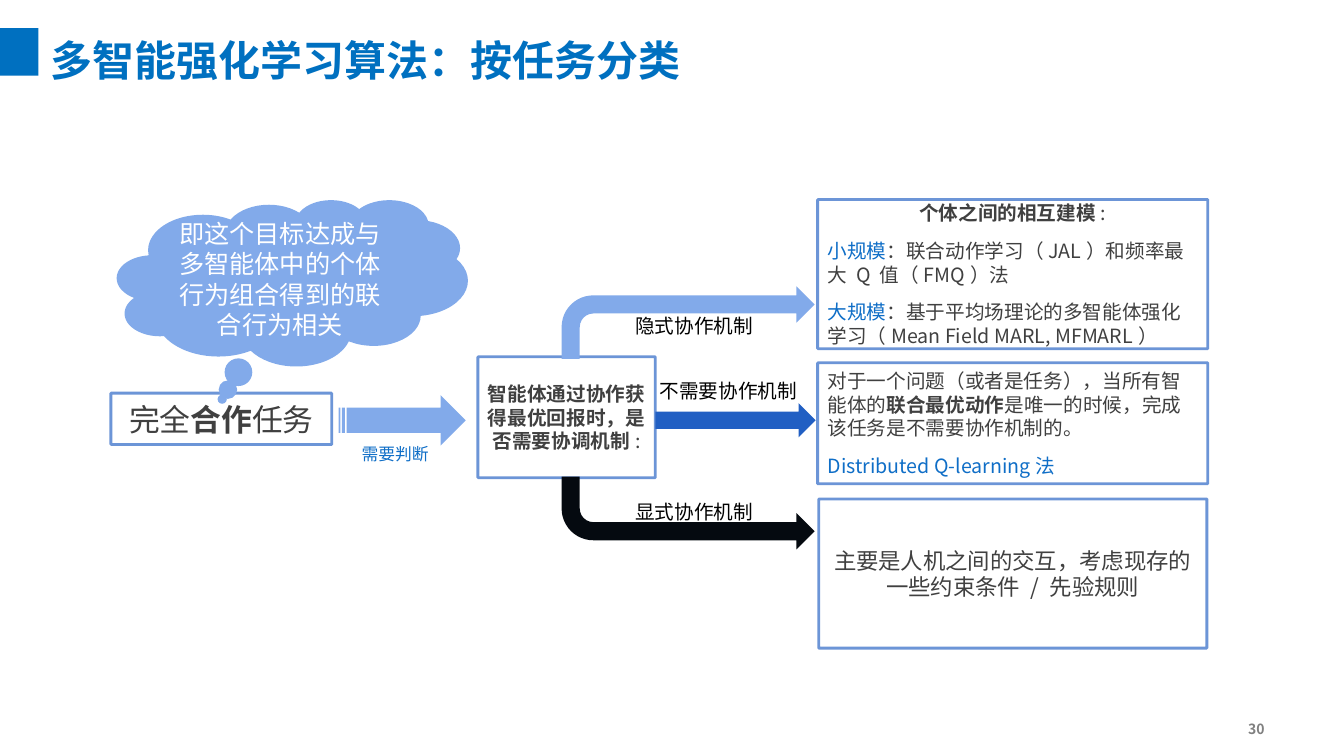
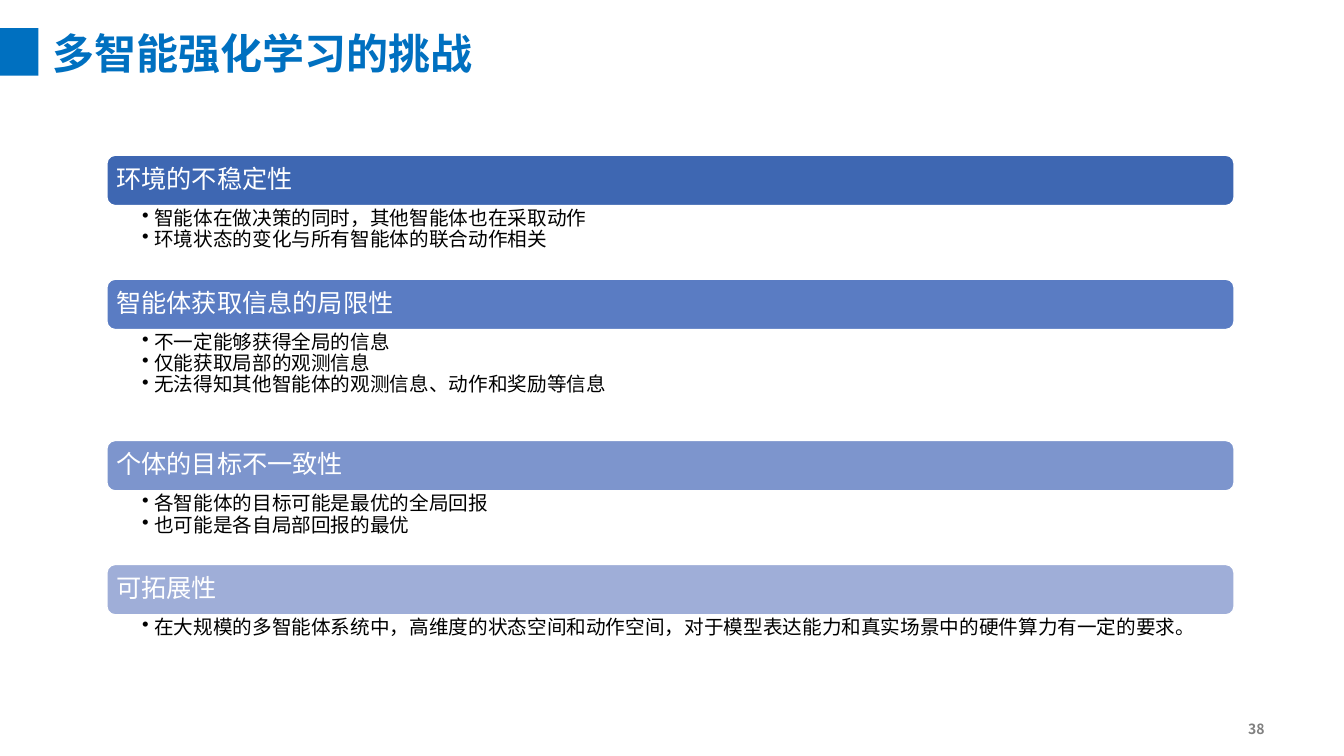
from lxml.etree import SubElement
from pptx import Presentation
from pptx.dml.color import RGBColor
from pptx.enum.shapes import MSO_SHAPE as SHAPE
from pptx.enum.text import MSO_ANCHOR as ANCHOR, PP_ALIGN as ALIGN
from pptx.oxml.ns import qn
from pptx.util import Inches, Pt

WHITE = RGBColor(0xFF, 0xFF, 0xFF)
BLACK = RGBColor(0x00, 0x00, 0x00)
INK = RGBColor(0x05, 0x0A, 0x10)
DARK = RGBColor(0x40, 0x40, 0x40)
GRAY = RGBColor(0x80, 0x80, 0x80)
BRAND = RGBColor(0x00, 0x70, 0xC0)
BLUE = RGBColor(0x21, 0x5F, 0xC3)
LIGHT = RGBColor(0x82, 0xAA, 0xEA)
ACCENT = RGBColor(0x0F, 0x6E, 0xC7)
TINTS = [
    RGBColor(0x3E, 0x67, 0xB2),
    RGBColor(0x5A, 0x7C, 0xC3),
    RGBColor(0x7D, 0x95, 0xCD),
    RGBColor(0x9F, 0xAE, 0xD8),
]

NOTO = "Noto Sans CJK SC"
ARIAL = "Arial"

TOPICS = [
    ("环境的不稳定性", 0.73, [
        "智能体在做决策的同时，其他智能体也在采取动作",
        "环境状态的变化与所有智能体的联合动作相关",
    ]),
    ("智能体获取信息的局限性", 1.1, [
        "不一定能够获得全局的信息",
        "仅能获取局部的观测信息",
        "无法得知其他智能体的观测信息、动作和奖励等信息",
    ]),
    ("个体的目标不一致性", 0.73, [
        "各智能体的目标可能是最优的全局回报",
        "也可能是各自局部回报的最优",
    ]),
    ("可拓展性", 0.37, [
        "在大规模的多智能体系统中，高维度的状态空间和动作空间，"
        "对于模型表达能力和真实场景中的硬件算力有一定的要求。",
    ]),
]


def style(run, size, color, bold=False, face=NOTO):
    font = run.font
    font.size = Pt(size)
    font.bold = bold
    font.name = face
    font.color.rgb = color
    SubElement(run._r.get_or_add_rPr(), qn("a:ea")).set("typeface", NOTO)


def fit(frame, insets=(0.1, 0.05, 0.1, 0.05), anchor=ANCHOR.MIDDLE):
    frame.word_wrap = True
    frame.vertical_anchor = anchor
    left, top, right, bottom = insets
    frame.margin_left, frame.margin_right = Inches(left), Inches(right)
    frame.margin_top, frame.margin_bottom = Inches(top), Inches(bottom)


def add_text(slide, area, text, size, color, bold=False, face=NOTO,
             align=ALIGN.CENTER, anchor=ANCHOR.MIDDLE, **frame_args):
    box = slide.shapes.add_textbox(*map(Inches, area))
    fit(box.text_frame, anchor=anchor, **frame_args)
    box.text_frame.text = text
    for para in box.text_frame.paragraphs:
        para.alignment = align
        style(para.runs[0], size, color, bold, face)
    return box


def add_form(slide, kind, area, color):
    form = slide.shapes.add_shape(kind, *map(Inches, area))
    form.shadow.inherit = False
    form.fill.solid()
    form.fill.fore_color.rgb = color
    form.line.fill.background()
    return form


def add_box(slide, area, size, paras):
    box = add_form(slide, SHAPE.RECTANGLE, area, WHITE)
    box.line.color.rgb = BLUE
    box.line.width = Pt(2)
    tone = box.line._ln.find(".//" + qn("a:srgbClr"))
    SubElement(tone, qn("a:alpha")).set("val", "65000")
    frame = box.text_frame
    fit(frame)
    for i, (align, parts) in enumerate(paras):
        para = frame.add_paragraph() if i else frame.paragraphs[0]
        para.alignment = align
        if i:
            para.space_before = Pt(10)
        for text, color, bold in parts:
            run = para.add_run()
            run.text = text
            style(run, size, color, bold)


def add_bend(slide, top, color, flip=False):
    bend = add_form(slide, SHAPE.BENT_ARROW, (5.57, top, 2.51, 0.72), color)
    if flip:
        bend._element.spPr.get_or_add_xfrm().set("flipV", "1")


def add_list(slide, area, lines):
    box = add_text(slide, area, "\n".join(lines), 14, BLACK, align=ALIGN.LEFT,
                   anchor=ANCHOR.TOP, insets=(0.35, 0.03, 0.14, 0.03))
    for para in box.text_frame.paragraphs:
        para.line_spacing = 0.9
        props = para._p.get_or_add_pPr()
        props.set("marL", str(Inches(0.12)))
        props.set("indent", str(-Inches(0.12)))
        SubElement(props, qn("a:buChar")).set("char", "•")


def add_slide(deck, title, left, top, number):
    slide = deck.slides.add_slide(deck.slide_layouts[6])
    add_form(slide, SHAPE.RECTANGLE, (-0.01, 0.28, 0.39, 0.47), BRAND)
    head = add_text(slide, (left, top, 10.06, 0.38), title, 30, BRAND, True,
                    align=ALIGN.LEFT, anchor=ANCHOR.TOP, insets=(0, 0, 0, 0))
    head.text_frame.paragraphs[0].line_spacing = 0.9
    add_text(slide, (12.24, 7.16, 0.4, 0.14), number, 10, GRAY, True,
             align=ALIGN.RIGHT)
    return slide


def draw_tasks(deck):
    slide = add_slide(deck, "多智能强化学习算法：按任务分类", 0.5, 0.4, "30")
    mid, left = ALIGN.CENTER, ALIGN.LEFT

    add_box(slide, (1.1, 3.9, 2.19, 0.51), 22, [
        (mid, [("完全", DARK, False), ("合作", DARK, True),
               ("任务", DARK, False)]),
    ])
    cloud = add_form(slide, SHAPE.CLOUD_CALLOUT, (1.16, 1.98, 3.48, 1.65), LIGHT)
    cloud.adjustments[0] = -0.2
    cloud.adjustments[1] = 0.7
    fit(cloud.text_frame)
    cloud.text_frame.text = "即这个目标达成与多智能体中的个体行为组合得到的联合行为相关"
    para = cloud.text_frame.paragraphs[0]
    para.alignment = mid
    style(para.runs[0], 18, WHITE, face=ARIAL)

    add_form(slide, SHAPE.STRIPED_RIGHT_ARROW, (3.36, 3.92, 1.26, 0.5), LIGHT)
    add_text(slide, (3.29, 4.35, 1.26, 0.3), "需要判断", 12, ACCENT, face=ARIAL)

    add_box(slide, (4.74, 3.54, 1.76, 1.2), 14, [
        (mid, [("智能体通过协作获得最优回报时，是否需要协调机制", DARK, True),
               (":", DARK, False)]),
    ])
    add_bend(slide, 4.73, INK, flip=True)
    add_form(slide, SHAPE.RIGHT_ARROW, (6.5, 4, 1.59, 0.34), BLUE)
    add_bend(slide, 2.84, LIGHT)
    for x, y, label in [(6.36, 3.71, "不需要协作机制"),
                        (6.02, 3.06, "隐式协作机制"),
                        (6.02, 4.91, "显式协作机制")]:
        add_text(slide, (x, y, 1.73, 0.34), label, 14, BLACK, face=ARIAL)

    add_box(slide, (8.11, 3.6, 3.87, 1.2), 14, [
        (left, [("对于一个问题（或者是任务），当所有智能体的", DARK, False),
                ("联合最优动作", DARK, True),
                ("是唯一的时候，完成该任务是不需要协作机制的。", DARK, False)]),
        (left, [("Distributed Q-learning法", ACCENT, False)]),
    ])
    add_box(slide, (8.11, 1.98, 3.87, 1.48), 14, [
        (mid, [("个体之间的相互建模", DARK, True), (":", DARK, False)]),
        (left, [("小规模", ACCENT, False),
                ("：联合动作学习（JAL）和频率最大 Q 值（FMQ）法", DARK, False)]),
        (left, [("大规模", ACCENT, False),
                ("：基于平均场理论的多智能体强化学习（Mean Field MARL, MFMARL）",
                 DARK, False)]),
    ])
    add_box(slide, (8.12, 4.95, 3.85, 1.48), 16, [
        (mid, [("主要是人机之间的交互，考虑现存的一些约束条件 / 先验规则",
                DARK, False)]),
    ])


def draw_issues(deck):
    slide = add_slide(deck, "多智能强化学习的挑战", 0.52, 0.33, "38")
    left, top, width, band = 1.06, 1.54, 11.18, 0.5
    for (name, height, lines), tint in zip(TOPICS, TINTS):
        bar = add_form(slide, SHAPE.ROUNDED_RECTANGLE,
                       (left, top, width, band), tint)
        bar.line.color.rgb = WHITE
        bar.line.width = Pt(1)
        fit(bar.text_frame, (0.07, 0.07, 0.07, 0.07))
        bar.text_frame.text = name
        para = bar.text_frame.paragraphs[0]
        para.alignment = ALIGN.LEFT
        para.line_spacing = 0.9
        style(para.runs[0], 18, WHITE, face=ARIAL)
        add_list(slide, (left, top + band, width, height), lines)
        top += band + height


def main():
    deck = Presentation()
    deck.slide_width = Inches(13.33)
    deck.slide_height = Inches(7.5)
    draw_tasks(deck)
    draw_issues(deck)
    deck.save("out.pptx")


if __name__ == "__main__":
    main()
